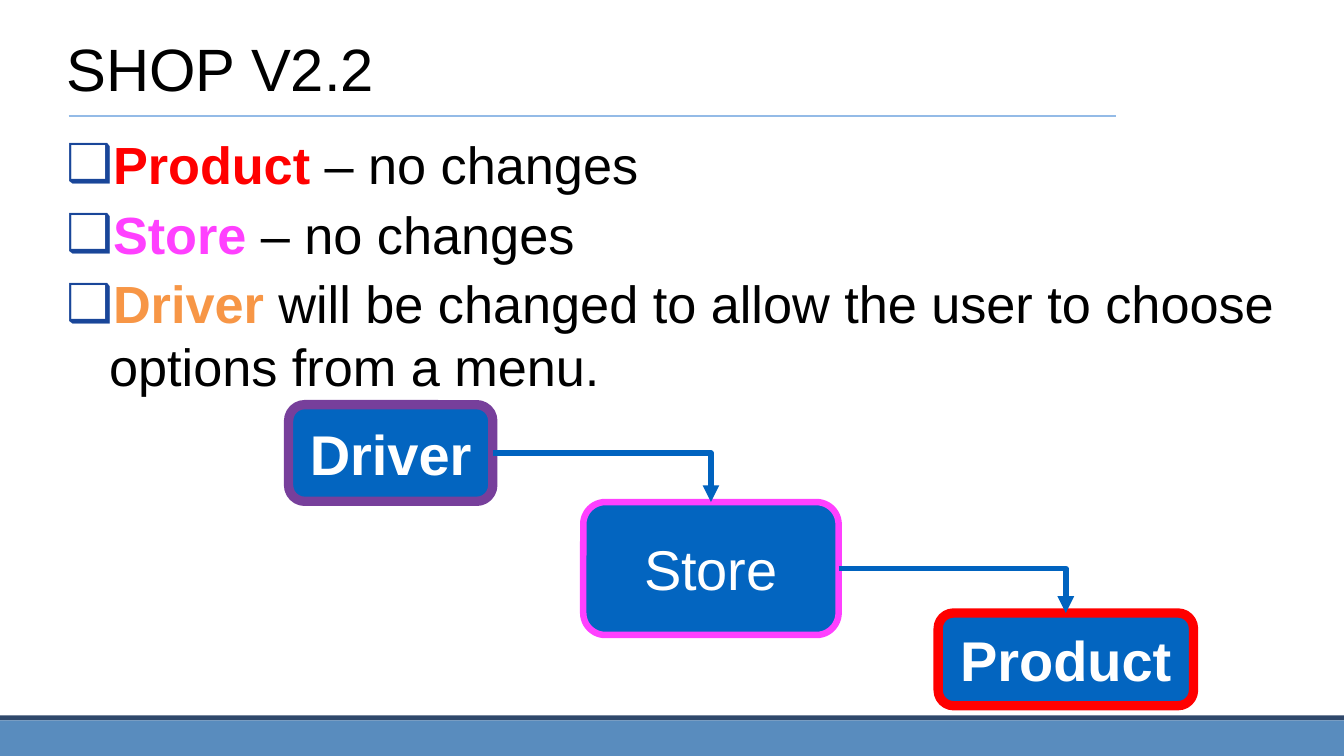
from lxml.etree import SubElement
from pptx import Presentation
from pptx.dml.color import RGBColor
from pptx.enum.shapes import MSO_CONNECTOR as CONN, MSO_SHAPE as SHAPE
from pptx.enum.text import MSO_ANCHOR as ANCHOR, MSO_AUTO_SIZE as AUTO, PP_ALIGN as ALIGN
from pptx.oxml.ns import qn
from pptx.util import Pt

THEME = {
    "font": "Arial",
    "title": 32, "body": 28, "box": 30,
    "black": "000000", "white": "FFFFFF",
    "band": "598CBE", "band_edge": "2F486B", "rule": "94BBE7",
    "bullet": "194699", "box_fill": "0365C0", "arrow": "0063BF",
    "red": "FF0000", "pink": "FF40FF", "orange": "F79646", "purple": "773F9B",
}
WIDTH, HEIGHT = 720, 405
TITLE = "SHOP V2.2"
BULLETS = [
    ("Product", "red", " – no changes"),
    ("Store", "pink", " – no changes"),
    ("Driver ", "orange", "will be changed to allow the user to choose options from a menu."),
]
BOXES = {
    "Driver": ((154.6, 216.8, 109.4, 51.8), "purple", 5, True),
    "Product": ((502.6, 328.4, 136.8, 49.7), "red", 5, True),
    "Store": ((312.5, 269, 136.8, 71.2), "pink", 3.5, False),
}
LINKS = [("Driver", "Store"), ("Store", "Product")]
BANDS = [(383.2, 2.8, "band_edge"), (386, HEIGHT - 386, "band")]
INSET = 4.5
INDENT = 23


def colour(name):
    return RGBColor.from_string(THEME[name])


def add_run(p, text, size, color, bold=False):
    r = p.add_run()
    r.text = text
    r.font.name = THEME["font"]
    r.font.size = Pt(THEME[size])
    r.font.color.rgb = colour(color)
    r.font.bold = bold


def set_frame(tf, anchor, inset):
    tf.word_wrap = True
    tf.auto_size = AUTO.NONE
    tf.vertical_anchor = anchor
    tf.margin_left = tf.margin_right = tf.margin_top = tf.margin_bottom = Pt(inset)


def add_block(slide, kind, place, fill):
    sp = slide.shapes.add_shape(kind, *map(Pt, place))
    sp.shadow.inherit = False
    sp.fill.solid()
    sp.fill.fore_color.rgb = colour(fill)
    sp.line.fill.background()
    return sp


def add_line(slide, kind, ends, color, width):
    line = slide.shapes.add_connector(kind, *map(Pt, ends))
    line.line.color.rgb = colour(color)
    line.line.width = Pt(width)
    SubElement(line._element.spPr, qn("a:effectLst"))
    return line


def add_bullet(p):
    pPr = p._p.get_or_add_pPr()
    pPr.set("marL", str(Pt(INDENT)))
    pPr.set("indent", str(-Pt(INDENT)))
    SubElement(SubElement(pPr, qn("a:buClr")), qn("a:srgbClr"), val=THEME["bullet"])
    SubElement(pPr, qn("a:buFont"), typeface=THEME["font"])
    SubElement(pPr, qn("a:buChar"), char="❑")


def add_title(slide):
    sp = slide.shapes.title
    sp.left, sp.top, sp.width, sp.height = map(Pt, (31, 0, 612, 59.8))
    set_frame(sp.text_frame, ANCHOR.BOTTOM, INSET)
    p = sp.text_frame.paragraphs[0]
    p.alignment = ALIGN.LEFT
    add_run(p, TITLE, "title", "black")


def add_body(slide):
    tf = slide.shapes.add_textbox(*map(Pt, (31, 66.2, 672.5, 338.4))).text_frame
    set_frame(tf, ANCHOR.TOP, INSET)
    for i, (term, color, rest) in enumerate(BULLETS):
        p = tf.add_paragraph() if i else tf.paragraphs[0]
        if i:
            p.space_before = Pt(3.8)
        add_bullet(p)
        add_run(p, term, "body", color, True)
        add_run(p, rest, "body", "black")


def add_box(slide, name):
    place, edge, width, bold = BOXES[name]
    sp = add_block(slide, SHAPE.ROUNDED_RECTANGLE, place, "box_fill")
    sp.line.color.rgb = colour(edge)
    sp.line.width = Pt(width)
    set_frame(sp.text_frame, ANCHOR.MIDDLE, 0)
    p = sp.text_frame.paragraphs[0]
    p.alignment = ALIGN.CENTER
    add_run(p, name, "box", "white", bold)
    return sp


def add_link(slide, start, end):
    line = add_line(slide, CONN.ELBOW, (0, 0, 0, 0), "arrow", 3)
    line.begin_connect(start, 3)
    line.end_connect(end, 0)
    line._element.spPr.find(qn("a:prstGeom")).set("prst", "bentConnector2")
    SubElement(line.line._get_or_add_ln(), qn("a:tailEnd"), type="triangle")


def main():
    prs = Presentation()
    prs.slide_width, prs.slide_height = Pt(WIDTH), Pt(HEIGHT)
    slide = prs.slides.add_slide(prs.slide_layouts[5])
    for top, height, fill in BANDS:
        add_block(slide, SHAPE.RECTANGLE, (0, top, WIDTH, height), fill)
    add_line(slide, CONN.STRAIGHT, (36.8, 62, 598, 62), "rule", 1)
    add_title(slide)
    add_body(slide)
    boxes = {name: add_box(slide, name) for name in BOXES}
    for start, end in LINKS:
        add_link(slide, boxes[start], boxes[end])
    prs.save("out.pptx")


if __name__ == "__main__":
    main()
